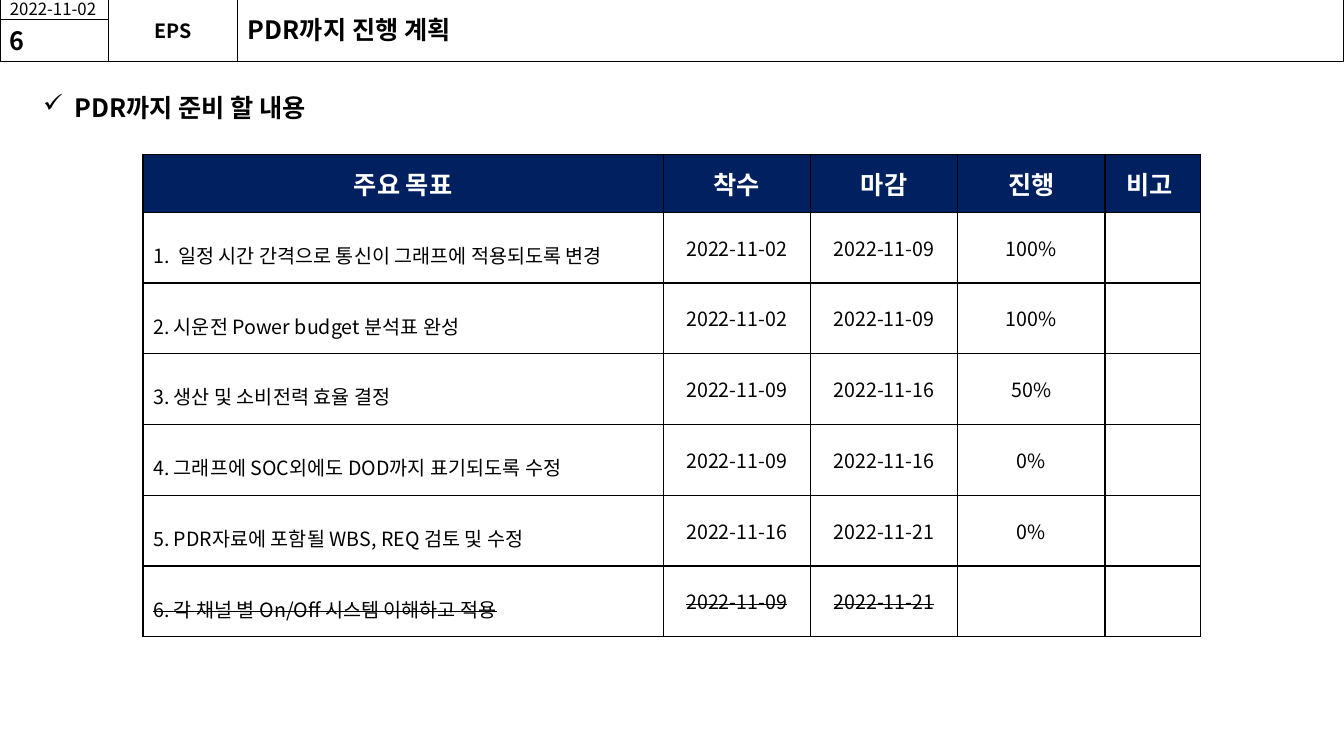
from pptx import Presentation
from pptx.dml.color import RGBColor
from pptx.enum.shapes import MSO_SHAPE as Shape
from pptx.enum.text import MSO_ANCHOR as Anchor, PP_ALIGN as Align
from pptx.oxml.ns import qn
from pptx.util import Pt
from lxml.etree import SubElement

BLACK, WHITE, NAVY = "000000", "FFFFFF", "002060"


def color(value):
    return RGBColor.from_string(value)


class Sheet:
    """Holds the style and the current slide."""

    font = "Noto Sans CJK KR"

    def __init__(self, page):
        self.page = page

    def style(self, para, size, bold=False, ink=BLACK, strike=False):
        for span in para.runs:
            span.font.name = self.font
            span.font.size = Pt(size)
            span.font.bold = bold
            span.font.color.rgb = color(ink)
            props = span.font._element
            SubElement(props, qn("a:ea"), typeface=self.font)
            if strike:
                props.set("strike", "sngStrike")

    def bullet(self, para, indent, tag, **attributes):
        props = para._p.get_or_add_pPr()
        props.set("marL", str(Pt(indent)))
        props.set("indent", str(-Pt(indent)))
        SubElement(props, qn(tag), **attributes)

    def title(self, text, left, top, width, height, size):
        box = self.page.shapes.title
        box.left, box.top, box.width, box.height = map(Pt, (left, top, width, height))
        box.text_frame.text = text
        box.text_frame.vertical_anchor = Anchor.TOP
        para = box.text_frame.paragraphs[0]
        para.alignment = Align.LEFT
        para.line_spacing = 1.0
        self.style(para, size, bold=True)

    def frame(self, left, top, width, height, text="", size=18, bold=True,
              align=Align.LEFT, inset=7.2):
        box = self.page.shapes.add_shape(
            Shape.RECTANGLE, *map(Pt, (left, top, width, height)))
        box.shadow.inherit = False
        box.fill.background()
        box.line.color.rgb = color(BLACK)
        box.line.width = Pt(0.75)
        if text:
            frame = box.text_frame
            frame.text = text
            frame.vertical_anchor = Anchor.MIDDLE
            frame.margin_left = frame.margin_right = Pt(inset)
            frame.margin_top = frame.margin_bottom = Pt(inset / 2)
            para = frame.paragraphs[0]
            para.alignment = align
            self.style(para, size, bold)

    def check_item(self, text, left, top, width, height, size):
        box = self.page.shapes.add_textbox(*map(Pt, (left, top, width, height)))
        box.text_frame.word_wrap = True
        box.text_frame.text = text
        para = box.text_frame.paragraphs[0]
        para.line_spacing = 0.9
        self.bullet(para, 22.5, "a:buChar", char="✓")
        self.style(para, size, bold=True)

    def borders(self, cell):
        props = cell._tc.get_or_add_tcPr()
        for side in ("a:lnL", "a:lnR", "a:lnT", "a:lnB"):
            line = SubElement(props, qn(side), w=str(Pt(1)))
            fill = SubElement(line, qn("a:solidFill"))
            SubElement(fill, qn("a:srgbClr"), val=BLACK)

    def cell(self, cell, text, fill, size, goal=False, **look):
        cell.vertical_anchor = Anchor.MIDDLE
        self.borders(cell)
        cell.fill.solid()
        cell.fill.fore_color.rgb = color(fill)
        if not text:
            return
        cell.text_frame.text = text
        para = cell.text_frame.paragraphs[0]
        if goal:
            para.line_spacing = 1.5
        else:
            para.alignment = Align.CENTER
        self.style(para, size, **look)

    def plan(self, left, top, widths, heights, header, tasks, dropped):
        grid = self.page.shapes.add_table(
            len(heights), len(widths), Pt(left), Pt(top),
            Pt(sum(widths)), Pt(sum(heights))).table
        for column, width in zip(grid.columns, widths):
            column.width = Pt(width)
        for row, height in zip(grid.rows, heights):
            row.height = Pt(height)
        for cell, text in zip(grid.rows[0].cells, header):
            self.cell(cell, text, NAVY, 18, bold=True, ink=WHITE)
        for number, task in enumerate(tasks, 1):
            for column, text in enumerate(task):
                self.cell(grid.cell(number, column), text, WHITE, 14,
                          goal=column == 0, strike=number in dropped)
        return grid


deck = Presentation()
deck.slide_width, deck.slide_height = Pt(960), Pt(540)
sheet = Sheet(deck.slides.add_slide(deck.slide_layouts[5]))

# Header band
sheet.frame(169.9, -0.7, 790, 44.6)
sheet.frame(0, -0.7, 77.8, 14.4, "2022-11-02", 12, bold=False)
sheet.frame(77.8, -0.7, 92.1, 44.6, "EPS", 14, align=Align.CENTER, inset=0)
sheet.frame(0, 13.7, 77.8, 30.2, "6")
sheet.title("PDR까지 진행 계획", 169.9, 6.5, 525, 29, 18)

# Section heading
sheet.check_item("PDR까지 준비 할 내용", 23.8, 64.8, 858, 36, 18)

# Schedule table
HEADER = ["주요 목표", "착수", "마감", "진행", "비고 "]
TASKS = [
    ["일정 시간 간격으로 통신이 그래프에 적용되도록 변경", "2022-11-02", "2022-11-09", "100%", ""],
    ["2. 시운전 Power budget 분석표 완성", "2022-11-02", "2022-11-09", "100%", ""],
    ["3. 생산 및 소비전력 효율 결정", "2022-11-09", "2022-11-16", "50%", ""],
    ["4. 그래프에 SOC외에도 DOD까지 표기되도록 수정", "2022-11-09", "2022-11-16", "0%", ""],
    ["5. PDR자료에 포함될 WBS, REQ 검토 및 수정", "2022-11-16", "2022-11-21", "0%", ""],
    ["6. 각 채널 별 On/Off 시스템 이해하고 적용", "2022-11-09", "2022-11-21", "", ""],
]
schedule = sheet.plan(102.2, 110.2, [371.5, 105.2, 105.2, 105.2, 68.2],
                      [41.4] + [50.55] * len(TASKS), HEADER, TASKS, dropped={6})
first_goal = schedule.cell(1, 0).text_frame.paragraphs[0]
sheet.bullet(first_goal, 18, "a:buAutoNum", type="arabicPeriod")

deck.save("out.pptx")
